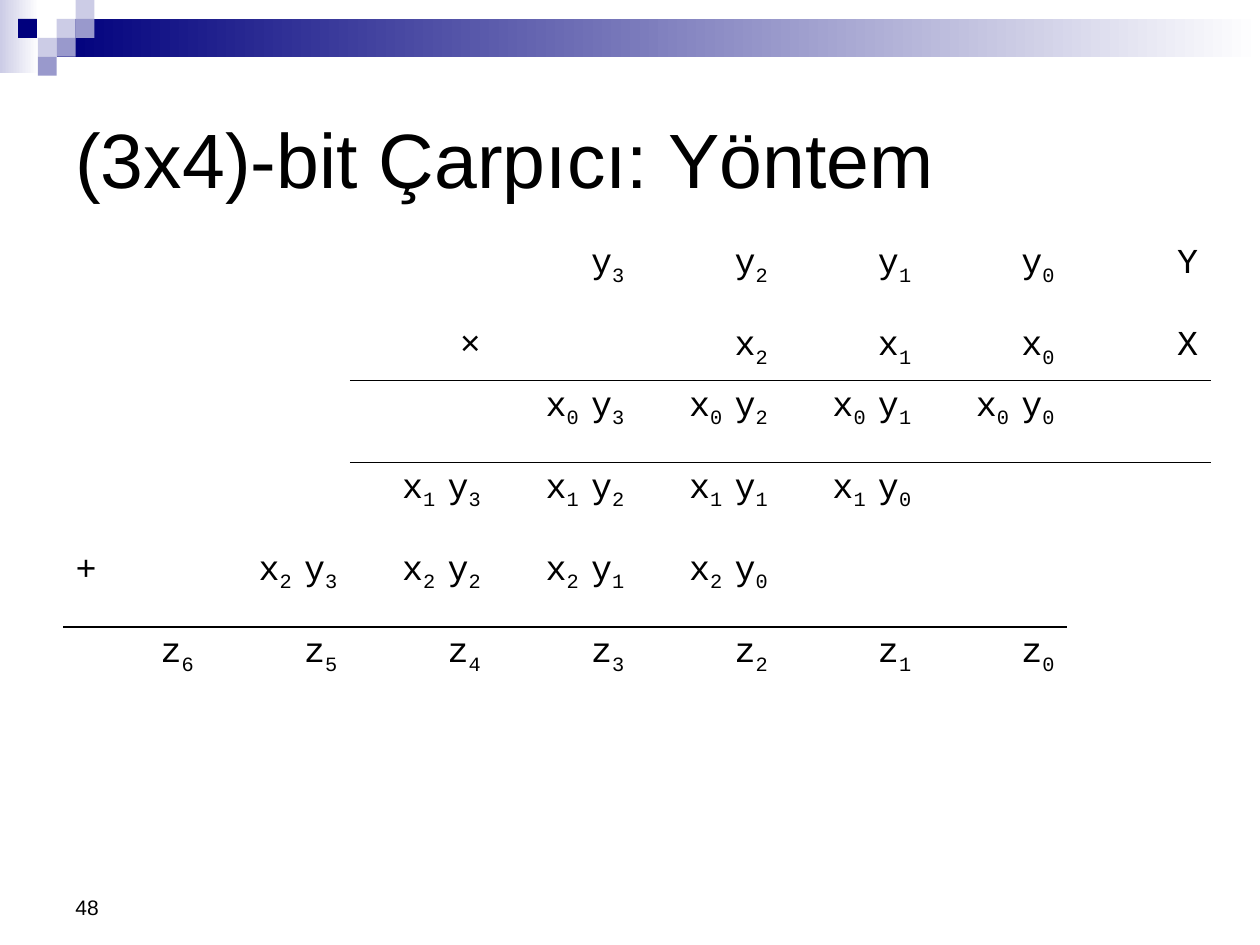
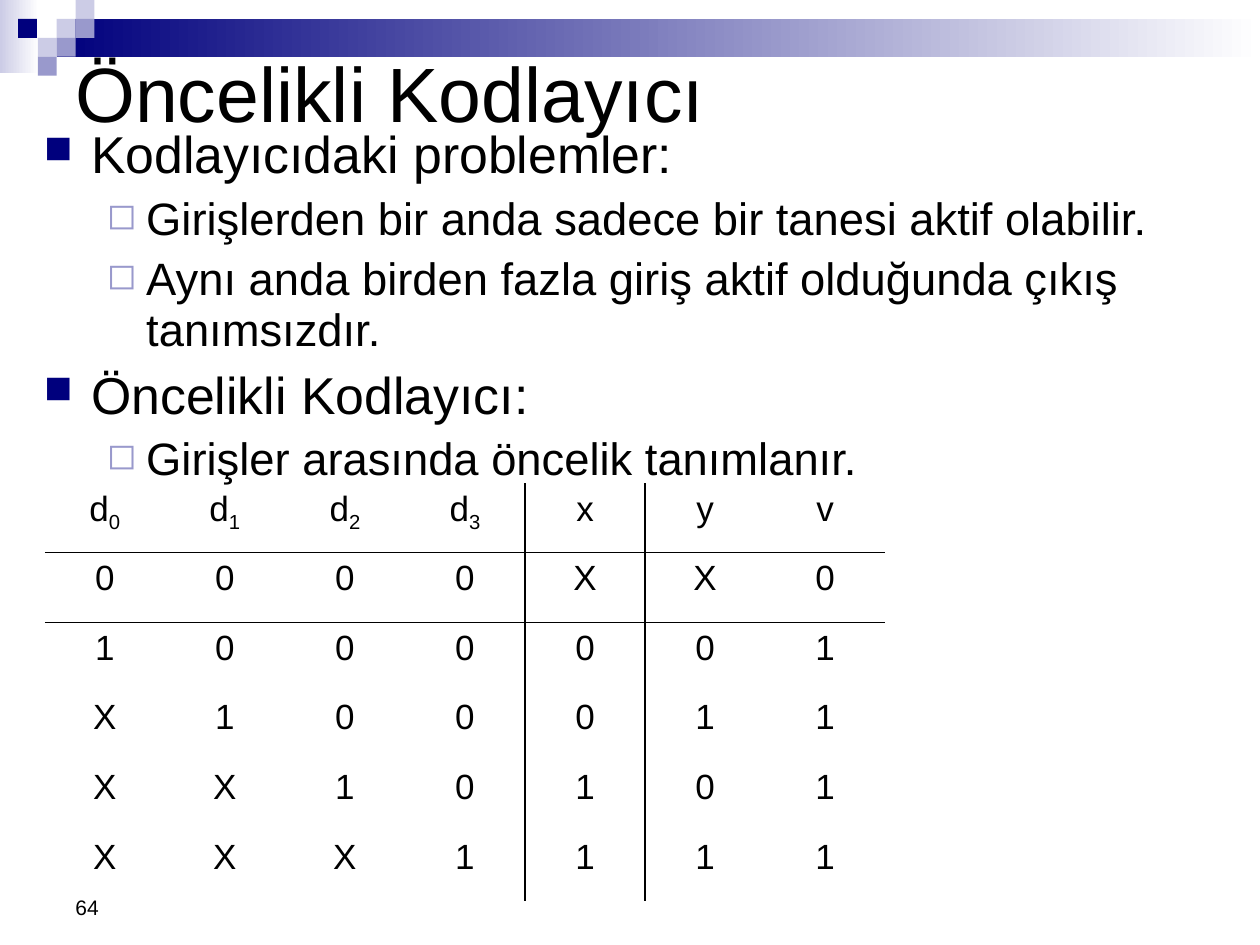
from itertools import groupby

from lxml import etree
from pptx import Presentation
from pptx.dml.color import RGBColor
from pptx.enum.shapes import MSO_SHAPE
from pptx.enum.text import MSO_ANCHOR, PP_ALIGN
from pptx.oxml.ns import qn
from pptx.util import Pt

RECTANGLE = MSO_SHAPE.RECTANGLE
TOP, MIDDLE, BOTTOM = MSO_ANCHOR.TOP, MSO_ANCHOR.MIDDLE, MSO_ANCHOR.BOTTOM
LEFT, CENTER, RIGHT = PP_ALIGN.LEFT, PP_ALIGN.CENTER, PP_ALIGN.RIGHT

SANS, MONO = "Arial", "Courier New"
BLACK, WHITE, NAVY, LILAC, PALE = "000000", "FFFFFF", "00007D", "9999CC", "CCCCE6"
PLAIN_TABLE_STYLE = "{2D5ABB26-0587-4C30-8999-92F81FD0307C}"

BANDS = [((0, 0, 22.3, 41.8), PALE), ((32.4, 10.8, 687.6, 21.6), NAVY)]
SQUARE_SIZE = 10.8
SQUARES = [
    (32.4, 10.8, PALE), (43.2, 0, PALE), (43.2, 10.8, LILAC), (21.6, 21.6, PALE),
    (10.3, 10.8, NAVY), (32.4, 21.6, LILAC), (21.6, 32.4, LILAC),
]
NUMBER_BOX = (36, 492, 168, 37.2)

MULTIPLIER = {
    "title": "(3x4)-bit Çarpıcı: Yöntem",
    "title_box": (36, 36, 648, 108),
    "number": "48",
    "rows": [
        ["", "", "", "y3", "y2", "y1", "y0", "Y"],
        ["", "", "×", "", "x2", "x1", "x0", "X"],
        ["", "", "", "x0 y3", "x0 y2", "x0 y1", "x0 y0", ""],
        ["", "", "x1 y3", "x1 y2", "x1 y1", "x1 y0", "", ""],
        ["+", "x2 y3", "x2 y2", "x2 y1", "x2 y0", "", "", ""],
        ["z6", "z5", "z4", "z3", "z2", "z1", "z0", ""],
    ],
    "corner": (36, 136.1),
    "column_width": 82,
    "row_heights": [46.9, 32, 46.9, 46.9, 46.9, 46.9],
    "rules_below": {(1, column) for column in range(2, 8)}
    | {(4, column) for column in range(7)},
    "rules_right": set(),
}

ENCODER = {
    "title": "Öncelikli Kodlayıcı",
    "title_box": (36, 31.7, 648, 41),
    "number": "64",
    "points": [
        (0, "Kodlayıcıdaki problemler:"),
        (1, "Girişlerden bir anda sadece bir tanesi aktif olabilir."),
        (1, "Aynı anda birden fazla giriş aktif olduğunda çıkış tanımsızdır."),
        (0, "Öncelikli Kodlayıcı:"),
        (1, "Girişler arasında öncelik tanımlanır."),
    ],
    "points_box": (18, 69.1, 690, 211.7),
    "rows": [
        ["d0", "d1", "d2", "d3", "x", "y", "v"],
        ["0", "0", "0", "0", "X", "X", "0"],
        ["1", "0", "0", "0", "0", "0", "1"],
        ["X", "1", "0", "0", "0", "1", "1"],
        ["X", "X", "1", "0", "1", "0", "1"],
        ["X", "X", "X", "1", "1", "1", "1"],
    ],
    "corner": (25.6, 276),
    "column_width": 68.6,
    "row_heights": [39.8] * 6,
    "rules_below": {(0, column) for column in range(7)},
    "rules_right": {(row, 3) for row in range(6)},
}

POINT_LEVELS = [
    {"size": 29.6, "margin": 27, "hang": 27, "bullet": "■", "color": NAVY, "scale": 75},
    {"size": 25.9, "margin": 58.5, "hang": 22.5, "bullet": "◻", "color": LILAC, "scale": 80},
]


def rgb(color):
    return RGBColor.from_string(color)


def points(lengths):
    return [Pt(length) for length in lengths]


def style_font(font, size, name=SANS):
    font.name, font.size = name, Pt(size)
    font.color.rgb = rgb(BLACK)


def add_rectangle(slide, box, color, fade=False):
    rectangle = slide.shapes.add_shape(RECTANGLE, *points(box))
    rectangle.shadow.inherit = False
    rectangle.line.fill.background()
    fill = rectangle.fill
    if fade:
        fill.gradient()
        fill.gradient_angle = 0
        for stop, stop_color in zip(fill.gradient_stops, (color, WHITE)):
            stop.color.rgb = rgb(stop_color)
    else:
        fill.solid()
        fill.fore_color.rgb = rgb(color)


def add_text(slide, box, text, size, anchor):
    frame = slide.shapes.add_textbox(*points(box)).text_frame
    frame.word_wrap = True
    frame.vertical_anchor = anchor
    frame.text = text
    for paragraph in frame.paragraphs:
        style_font(paragraph.runs[0].font, size)
    return frame


def add_points(slide, content):
    text = "\n".join(text for _, text in content["points"])
    frame = add_text(slide, content["points_box"], text, POINT_LEVELS[0]["size"], TOP)
    for paragraph, (level, _) in zip(frame.paragraphs, content["points"]):
        look = POINT_LEVELS[level]
        paragraph.level = level
        paragraph.line_spacing = 0.94
        paragraph.space_before = Pt(round(look["size"] * 0.2, 1))
        paragraph.runs[0].font.size = Pt(look["size"])
        properties = paragraph._p.get_or_add_pPr()
        properties.set("marL", str(Pt(look["margin"])))
        properties.set("indent", str(-Pt(look["hang"])))
        bullet_color = etree.SubElement(properties, qn("a:buClr"))
        etree.SubElement(bullet_color, qn("a:srgbClr"), val=look["color"])
        etree.SubElement(properties, qn("a:buSzPct"), val=str(look["scale"] * 1000))
        etree.SubElement(properties, qn("a:buChar"), char=look["bullet"])


def add_border(cell, side):
    line = etree.SubElement(cell._tc.get_or_add_tcPr(), qn("a:ln" + side), w=str(Pt(1)))
    fill = etree.SubElement(line, qn("a:solidFill"))
    etree.SubElement(fill, qn("a:srgbClr"), val=BLACK)


def write_term(cell, term, font_name, alignment):
    paragraph = cell.text_frame.paragraphs[0]
    paragraph.alignment = alignment
    indexed = term[0].isalpha()
    for lowered, letters in groupby(term, lambda letter: indexed and not letter.isalpha()):
        run = paragraph.add_run()
        run.text = "".join(letters)
        style_font(run.font, 20, font_name)
        if lowered:
            run.font._element.set("baseline", "-25000")


def add_grid(slide, content, font_name, alignment):
    rows, heights = content["rows"], content["row_heights"]
    width = content["column_width"] * len(rows[0])
    box = (*content["corner"], width, sum(heights))
    table = slide.shapes.add_table(len(rows), len(rows[0]), *points(box)).table
    table.first_row = table.horz_banding = False
    table._tbl.tblPr.find(qn("a:tableStyleId")).text = PLAIN_TABLE_STYLE
    below, right = content["rules_below"], content["rules_right"]
    for column in table.columns:
        column.width = Pt(content["column_width"])
    for r, (terms, height) in enumerate(zip(rows, heights)):
        table.rows[r].height = Pt(height)
        for c, term in enumerate(terms):
            cell = table.cell(r, c)
            borders = {
                "L": (r, c - 1) in right, "R": (r, c) in right,
                "T": (r - 1, c) in below, "B": (r, c) in below,
            }
            for side, ruled in borders.items():
                if ruled:
                    add_border(cell, side)
            cell.fill.background()
            if term:
                write_term(cell, term, font_name, LEFT if term == "+" else alignment)


def add_base_slide(deck, content):
    slide = deck.slides.add_slide(deck.slide_layouts[6])
    for box, color in BANDS:
        add_rectangle(slide, box, color, fade=True)
    for left, top, color in SQUARES:
        add_rectangle(slide, (left, top, SQUARE_SIZE, SQUARE_SIZE), color)
    add_text(slide, NUMBER_BOX, content["number"], 12, BOTTOM)
    add_text(slide, content["title_box"], content["title"], 44, MIDDLE)
    return slide


def main():
    deck = Presentation()
    deck.slide_width, deck.slide_height = Pt(720), Pt(540)
    multiplier = add_base_slide(deck, MULTIPLIER)
    add_grid(multiplier, MULTIPLIER, MONO, RIGHT)
    encoder = add_base_slide(deck, ENCODER)
    add_points(encoder, ENCODER)
    add_grid(encoder, ENCODER, SANS, CENTER)
    deck.save("out.pptx")


if __name__ == "__main__":
    main()
